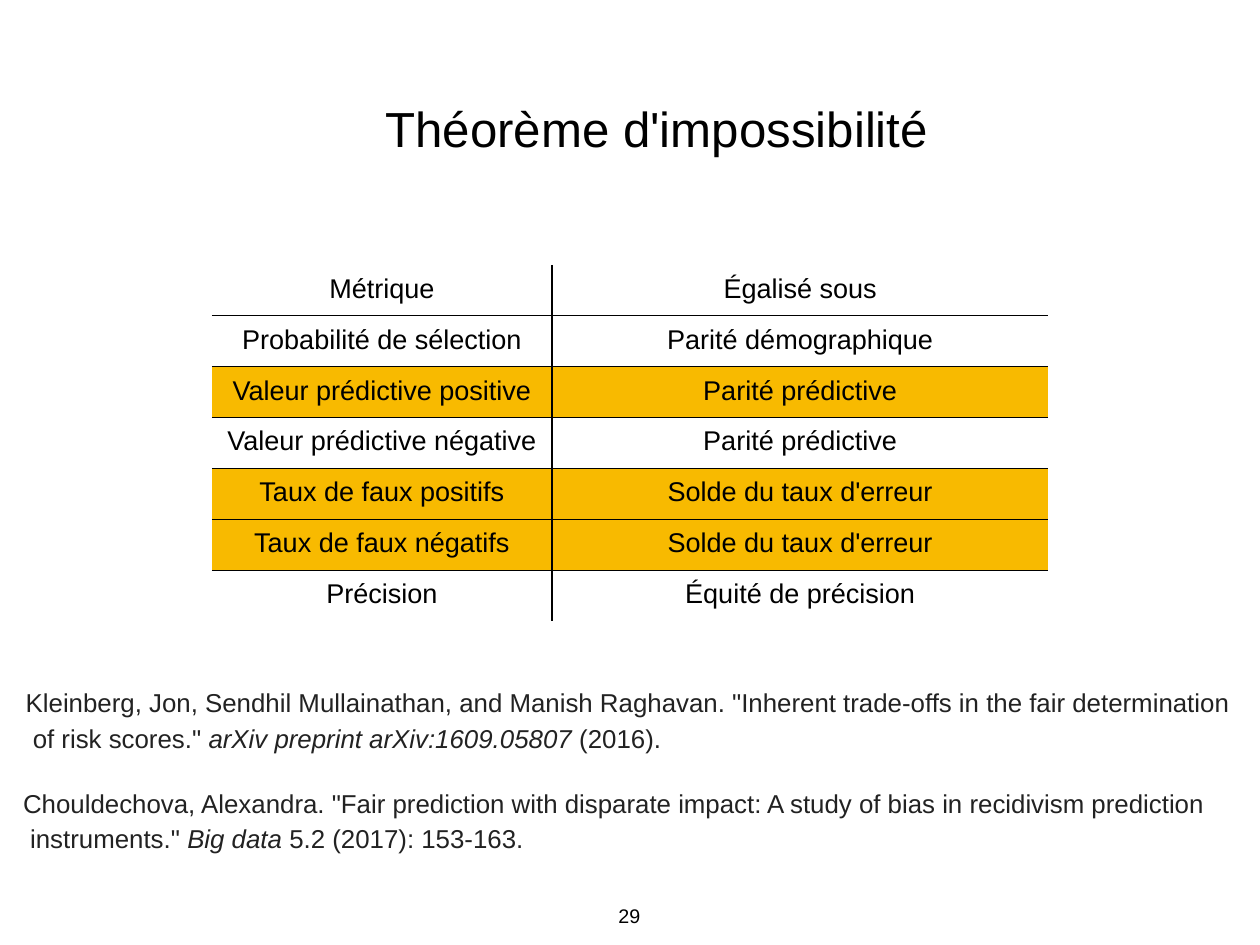
from lxml.etree import SubElement
from pptx import Presentation
from pptx.dml.color import RGBColor
from pptx.enum.text import MSO_ANCHOR, PP_ALIGN
from pptx.oxml.ns import qn
from pptx.util import Inches, Pt

TITLE = "Théorème d'impossibilité"
PAGE = "29"
# metric, criterion that equalises it, highlighted
METRICS = [
    ("Métrique", "Égalisé sous", False),
    ("Probabilité de sélection", "Parité démographique", False),
    ("Valeur prédictive positive", "Parité prédictive", True),
    ("Valeur prédictive négative", "Parité prédictive", False),
    ("Taux de faux positifs", "Solde du taux d'erreur", True),
    ("Taux de faux négatifs", "Solde du taux d'erreur", True),
    ("Précision", "Équité de précision", False),
]
# text before, italic source, text after, left margin of wrapped lines
REFERENCES = [
    ('Kleinberg, Jon, Sendhil Mullainathan, and Manish Raghavan. "Inherent trade-offs '
     'in the fair determination of risk scores." ',
     "arXiv preprint arXiv:1609.05807 ", "(2016).", 0.12),
    ('Chouldechova, Alexandra. "Fair prediction with disparate impact: A study of bias '
     'in recidivism prediction instruments." ',
     "Big data ", "5.2 (2017): 153-163.", 0.09),
]
COLORS = {"text": "000000", "reference": "222222", "highlight": "F8BA00", "rule": "000000"}
FONT = "Arial"
COLUMN_WIDTHS = (3.84, 5.6)
ROW_HEIGHT = 0.575
HANGING = 0.08


def rgb(name):
    return RGBColor.from_string(COLORS[name])


def style(paragraph, size, color="text"):
    font = paragraph.font
    font.name, font.size, font.color.rgb = FONT, Pt(size), rgb(color)


def set_frame(frame, top, wrap=True):
    frame.margin_left = frame.margin_right = frame.margin_bottom = 0
    frame.margin_top = Inches(top)
    frame.word_wrap = wrap
    frame.vertical_anchor = MSO_ANCHOR.TOP


def set_borders(cell, visible):
    """Draw the sides named in visible; leave the other sides without a line."""
    properties = cell._tc.get_or_add_tcPr()
    for position, side in enumerate("LRTB"):
        line = SubElement(properties, qn(f"a:ln{side}"), w=str(Pt(1)))
        properties.remove(line)
        properties.insert(position, line)
        if side in visible:
            fill = SubElement(line, qn("a:solidFill"))
            SubElement(fill, qn("a:srgbClr"), val=COLORS["rule"])
        else:
            SubElement(line, qn("a:noFill"))


def add_metrics(slide):
    table = slide.shapes.add_table(
        len(METRICS), len(COLUMN_WIDTHS), Inches(2.39), Inches(2.99),
        Inches(sum(COLUMN_WIDTHS)), Inches(ROW_HEIGHT * len(METRICS))).table
    table.first_row = table.horz_banding = False
    for column, width in zip(table.columns, COLUMN_WIDTHS):
        column.width = Inches(width)
    for r, (metric, criterion, highlighted) in enumerate(METRICS):
        table.rows[r].height = Inches(ROW_HEIGHT)
        for c, label in enumerate((metric, criterion)):
            cell = table.cell(r, c)
            cell.margin_left = cell.margin_right = cell.margin_bottom = 0
            cell.margin_top = Inches(0.1)
            if highlighted:
                cell.fill.solid()
                cell.fill.fore_color.rgb = rgb("highlight")
            else:
                cell.fill.background()
            inner = "R" if c == 0 else "L"
            above = "T" if r > 0 else ""
            below = "B" if r < len(METRICS) - 1 else ""
            set_borders(cell, inner + above + below)
            paragraph = cell.text_frame.paragraphs[0]
            paragraph.text = label
            paragraph.alignment = PP_ALIGN.CENTER
            style(paragraph, 22)


def add_references(slide):
    frame = slide.shapes.add_textbox(
        Inches(0.25), Inches(7.67), Inches(13.65), Inches(1.7)).text_frame
    set_frame(frame, 0.04)
    for i, (before, source, after, margin) in enumerate(REFERENCES):
        paragraph = frame.paragraphs[0] if i == 0 else frame.add_paragraph()
        for part in (before, source, after):
            run = paragraph.add_run()
            run.text = part
            if part == source:
                run.font.italic = True
        properties = paragraph._p.get_or_add_pPr()
        properties.set("marL", str(Inches(margin)))
        properties.set("indent", str(-Inches(HANGING)))
        paragraph.line_spacing = 1.14
        if i > 0:
            paragraph.space_before = Pt(24)
        style(paragraph, 21, "reference")


def main():
    deck = Presentation()
    deck.slide_width, deck.slide_height = Inches(14.22), Inches(10.67)
    slide = deck.slides.add_slide(deck.slide_layouts[5])

    title = slide.shapes.title
    title.left, title.top = Inches(4.35), Inches(1.1)
    title.width, title.height = Inches(6.64), Inches(0.69)
    title.text_frame.text = TITLE
    set_frame(title.text_frame, 0.01)
    title.text_frame.paragraphs[0].alignment = PP_ALIGN.LEFT
    style(title.text_frame.paragraphs[0], 40)

    add_metrics(slide)
    add_references(slide)

    page = slide.shapes.add_textbox(
        Inches(6.98), Inches(10.19), Inches(0.29), Inches(0.32)).text_frame
    set_frame(page, 0.01)
    page.text = PAGE
    style(page.paragraphs[0], 16)

    deck.save("out.pptx")


if __name__ == "__main__":
    main()
